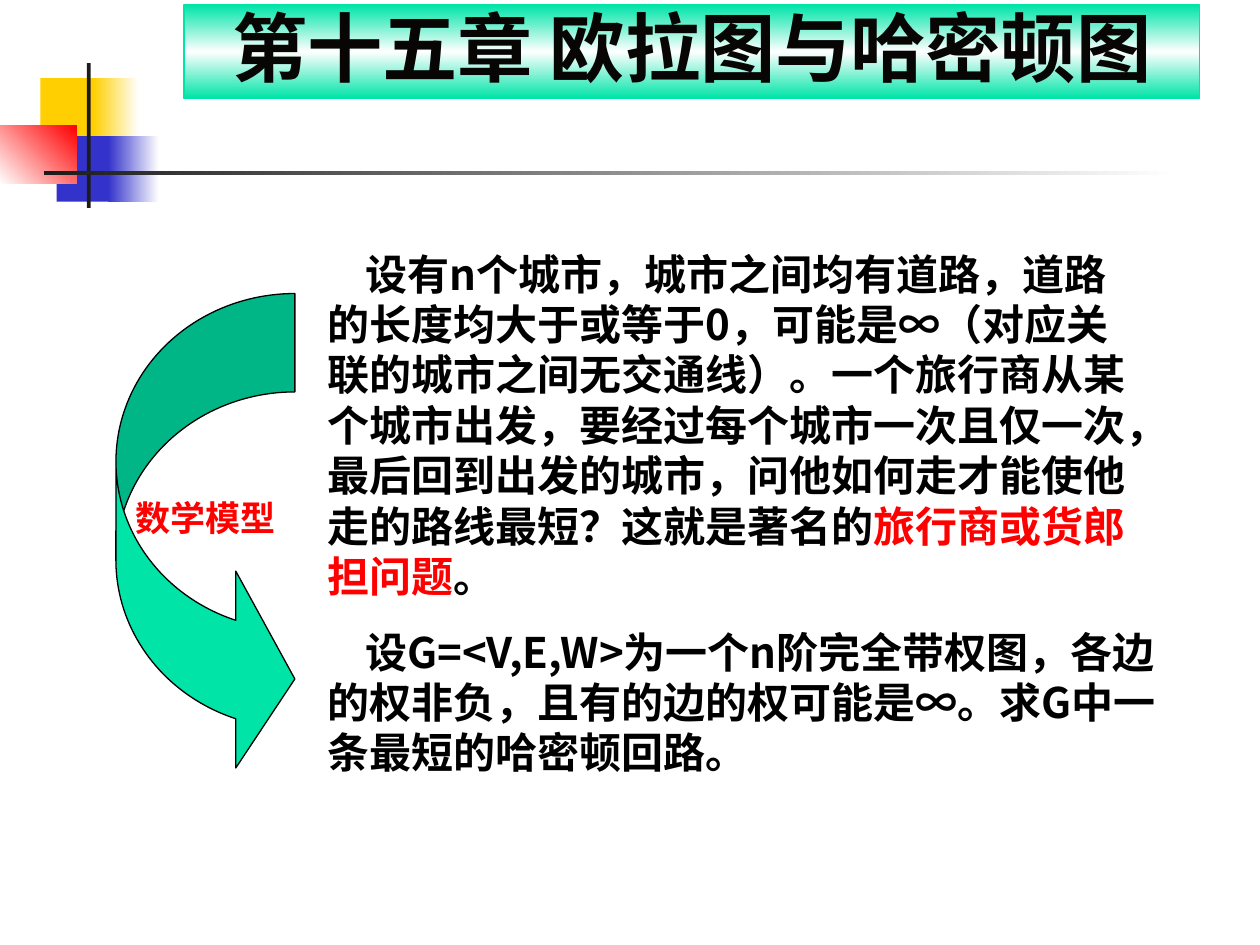
from lxml import etree
from pptx import Presentation
from pptx.dml.color import RGBColor
from pptx.enum.shapes import MSO_SHAPE
from pptx.enum.text import MSO_ANCHOR, MSO_AUTO_SIZE, PP_ALIGN
from pptx.oxml.ns import qn
from pptx.util import Inches, Pt

RECTANGLE, CURVED_ARROW = MSO_SHAPE.RECTANGLE, MSO_SHAPE.CURVED_RIGHT_ARROW
CENTER, MIDDLE, BOTTOM = PP_ALIGN.CENTER, MSO_ANCHOR.MIDDLE, MSO_ANCHOR.BOTTOM
NO_FIT = MSO_AUTO_SIZE.NONE

YELLOW = RGBColor(0xFF, 0xCF, 0x01)
BLUE = RGBColor(0x33, 0x33, 0xCC)
RED = RGBColor(0xFF, 0x00, 0x00)
GREEN = RGBColor(0x00, 0xE4, 0xA8)
WHITE = RGBColor(0xFF, 0xFF, 0xFF)
CHARCOAL = RGBColor(0x1C, 0x1C, 0x1C)
INK = RGBColor(0x07, 0x06, 0x05)
BLACK = RGBColor(0x00, 0x00, 0x00)

CJK_FONT, SYMBOL_FONT, LABEL_FONT = "Noto Sans CJK SC", "Arial", "Times New Roman"
LINE_RATIO = 1.2
FIRST_LINE_INDENT = Inches(0.3)


def inches(box):
    return [Inches(length) for length in box]


def paint(shape, colors, angle=0):
    """Fill with one colour, or with a gradient of evenly spaced colours, angle clockwise."""
    if len(colors) == 1:
        shape.fill.solid()
        shape.fill.fore_color.rgb = colors[0]
        return
    shape.fill.gradient()
    shape.fill.gradient_angle = (360 - angle) % 360
    stops = shape.fill._xPr.find(qn("a:gradFill")).find(qn("a:gsLst"))
    for stop in list(stops):
        stops.remove(stop)
    for index, color in enumerate(colors):
        position = 100000 * index // (len(colors) - 1)
        stop = etree.SubElement(stops, qn("a:gs"), pos=str(position))
        etree.SubElement(stop, qn("a:srgbClr"), val=str(color))


def set_font(para, size, color, name=CJK_FONT):
    font = para.font
    font.size, font.bold, font.name = Pt(size), True, name
    font.color.rgb = color
    defaults = para._p.pPr.find(qn("a:defRPr"))
    etree.SubElement(defaults, qn("a:ea"), typeface=CJK_FONT)


def add_ornament(page, box):
    """Coloured squares with a cross of two bars, placed from the box's corner."""
    left, top, width, height = box
    parts = [
        ((0.32, 0.12, 0.48, 0.52), [YELLOW], 0),
        ((0.74, 0.12, 0.36, 0.52), [YELLOW, WHITE], 0),
        ((0.45, 0.58, 0.46, 0.52), [BLUE], 0),
        ((0.86, 0.58, 0.40, 0.52), [BLUE, WHITE], 0),
        ((0, 0.50, 0.61, 0.46), [WHITE, RED], 315),
        ((0.69, 0, 0.03, height), [CHARCOAL], 0),
        ((0.35, 0.86, width - 0.35, 0.03), [CHARCOAL, WHITE], 0),
    ]
    for (x, y, part_width, part_height), colors, angle in parts:
        place = inches((left + x, top + y, part_width, part_height))
        part = page.shapes.add_shape(RECTANGLE, *place)
        part.shadow.inherit = False
        part.line.fill.background()
        paint(part, colors, angle)


def fill_title(page, box, text):
    title = page.shapes.title
    title.left, title.top, title.width, title.height = inches(box)
    paint(title, [GREEN, WHITE, GREEN], 90)
    title.line.color.rgb = GREEN
    title.line.width = Pt(0.75)
    frame = title.text_frame
    frame.text = text
    frame.auto_size = NO_FIT
    frame.vertical_anchor = BOTTOM
    para = frame.paragraphs[0]
    para.alignment = CENTER
    para.line_spacing = Pt(43 * LINE_RATIO)
    set_font(para, 43, INK)


def add_passage(page, box, spans):
    """One indented paragraph; each span is its text, with a colour and font where they differ."""
    frame = page.shapes.add_textbox(*inches(box)).text_frame
    frame.word_wrap = True
    para = frame.paragraphs[0]
    para.line_spacing = Pt(24 * LINE_RATIO)
    para._p.get_or_add_pPr().set("indent", str(FIRST_LINE_INDENT))
    set_font(para, 24, BLACK)
    for text, color, font_name in spans:
        span = para.add_run()
        span.text = text
        if color:
            span.font.color.rgb = color
        if font_name:
            span.font.name = font_name


def add_model_arrow(page, box, text):
    arrow = page.shapes.add_shape(CURVED_ARROW, *inches(box))
    arrow.shadow.inherit = False
    for index, share in enumerate((0.55, 1.1, 0.33)):
        arrow.adjustments[index] = share
    paint(arrow, [GREEN])
    arrow.line.color.rgb = BLACK
    arrow.line.width = Pt(0.75)
    frame = arrow.text_frame
    frame.text = text
    frame.word_wrap = False
    frame.vertical_anchor = MIDDLE
    frame.margin_bottom = Inches(0.33)
    para = frame.paragraphs[0]
    para.alignment = CENTER
    set_font(para, 20, RED, LABEL_FONT)


def main():
    deck = Presentation()
    deck.slide_width, deck.slide_height = Inches(10), Inches(7.5)
    page = deck.slides.add_slide(deck.slide_layouts[5])
    add_ornament(page, (0, 0.5, 9.35, 1.15))
    fill_title(page, (1.46, 0.04, 8.06, 0.74), "第十五章 欧拉图与哈密顿图")
    infinity = ("∞", None, SYMBOL_FONT)
    add_passage(page, (2.5, 1.92, 6.67, 2.9), [
        ("设有n个城市，城市之间均有道路，道路的长度均大于或等于0，可能是", None, None),
        infinity,
        ("（对应关联的城市之间无交通线）。一个旅行商从某个城市出发，要经过每个城市一次且仅一次，"
         "最后回到出发的城市，问他如何走才能使他走的路线最短？这就是著名的", None, None),
        ("旅行商或货郎担问题", RED, None),
        ("。", None, None),
    ])
    add_passage(page, (2.5, 4.92, 6.83, 1.3), [
        ("设G=<V,E,W>为一个n阶完全带权图，各边的权非负，且有的边的权可能是", None, None),
        infinity,
        ("。求G中一条最短的哈密顿回路。", None, None),
    ])
    add_model_arrow(page, (0.92, 2.33, 1.42, 3.84), "数学模型")
    deck.save("out.pptx")


if __name__ == "__main__":
    main()
